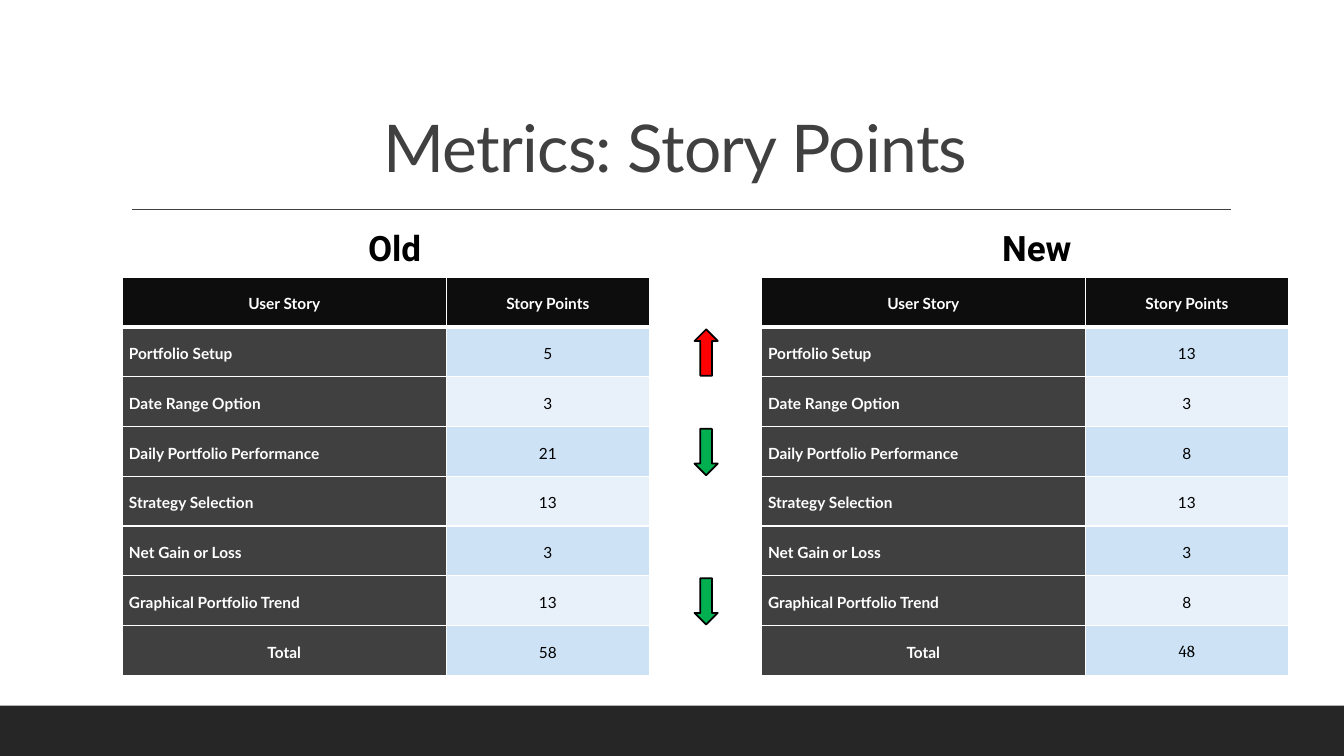
from dataclasses import dataclass

from lxml.etree import SubElement
from pptx import Presentation
from pptx.dml.color import RGBColor
from pptx.enum.shapes import MSO_CONNECTOR, MSO_SHAPE
from pptx.enum.text import MSO_ANCHOR, PP_ALIGN
from pptx.oxml.ns import qn
from pptx.util import Pt


@dataclass(frozen=True)
class Theme:
    white: str = "FFFFFF"
    black: str = "000000"
    header: str = "0D0D0D"
    dark: str = "404040"
    footer: str = "262626"
    bands: tuple = ("CDE3F5", "E8F1FA")
    rise: str = "FF0000"
    fall: str = "00B050"
    body_font: str = "Lato"
    heading_font: str = "Roboto"
    total_font: str = "Cambria"
    title_size: float = 47
    heading_size: float = 25
    cell_size: float = 11
    total_size: float = 12


STORIES = [
    ("Portfolio Setup", 5, 13),
    ("Date Range Option", 3, 3),
    ("Daily Portfolio Performance", 21, 8),
    ("Strategy Selection", 13, 13),
    ("Net Gain or Loss", 3, 3),
    ("Graphical Portfolio Trend", 13, 8),
]
TABLE_TOP = 198
ROW_HEIGHT = 35.55
COLUMN_WIDTHS = (231.9, 144.7)
CELL_INSET = 5


def write_text(frame, text, *, font, size, color, bold=False,
               align=PP_ALIGN.CENTER, line_spacing=1.0, tracking=0):
    para = frame.paragraphs[0]
    para.alignment = align
    para.line_spacing = line_spacing
    span = para.add_run()
    span.text = text
    span.font.name = font
    span.font.size = Pt(size)
    span.font.bold = bold
    span.font.color.rgb = RGBColor.from_string(color)
    if tracking:
        span._r.get_or_add_rPr().set("spc", str(round(tracking * 100)))


class SlideBuilder:
    def __init__(self, page, theme):
        self.page = page
        self.theme = theme

    def shape(self, kind, left, top, width, height, fill, line=None):
        shape = self.page.shapes.add_shape(
            kind, Pt(left), Pt(top), Pt(width), Pt(height))
        shape.shadow.inherit = False
        shape.fill.solid()
        shape.fill.fore_color.rgb = RGBColor.from_string(fill)
        if line:
            shape.line.color.rgb = RGBColor.from_string(line)
            shape.line.width = Pt(1.25)
        else:
            shape.line.fill.background()
        return shape

    def rule(self, left, right, top):
        rule = self.page.shapes.add_connector(
            MSO_CONNECTOR.STRAIGHT, Pt(left), Pt(top), Pt(right), Pt(top))
        rule.line.color.rgb = RGBColor.from_string(self.theme.dark)
        rule.line.width = Pt(1)
        SubElement(rule._element.spPr, qn("a:effectLst"))

    def text(self, left, top, width, height, text,
             anchor=MSO_ANCHOR.TOP, **style):
        box = self.page.shapes.add_textbox(
            Pt(left), Pt(top), Pt(width), Pt(height))
        box.text_frame.word_wrap = True
        box.text_frame.vertical_anchor = anchor
        write_text(box.text_frame, text, **style)

    def cell_borders(self, cell, **widths):
        properties = cell._tc.get_or_add_tcPr()
        for side in ("L", "R", "T", "B"):
            line = SubElement(properties, qn(f"a:ln{side}"),
                              w=str(Pt(widths.get(side, 1))))
            fill = SubElement(line, qn("a:solidFill"))
            SubElement(fill, qn("a:srgbClr"), val=self.theme.white)

    def cell(self, cell, text, fill, borders, **style):
        self.cell_borders(cell, **borders)
        cell.fill.solid()
        cell.fill.fore_color.rgb = RGBColor.from_string(fill)
        cell.vertical_anchor = MSO_ANCHOR.MIDDLE
        cell.margin_left = cell.margin_right = Pt(CELL_INSET)
        cell.margin_top = cell.margin_bottom = Pt(CELL_INSET)
        defaults = dict(font=self.theme.body_font, size=self.theme.cell_size,
                        color=self.theme.white, bold=True, line_spacing=1.2)
        write_text(cell.text_frame, text, **(defaults | style))

    def story_table(self, left, points, total_style):
        theme = self.theme
        names = [story[0] for story in STORIES] + ["Total"]
        values = points + [sum(points)]
        count = len(names) + 1
        table = self.page.shapes.add_table(
            count, 2, Pt(left), Pt(TABLE_TOP),
            Pt(sum(COLUMN_WIDTHS)), Pt(count * ROW_HEIGHT)).table
        for column, width in zip(table.columns, COLUMN_WIDTHS):
            column.width = Pt(width)
        for row in table.rows:
            row.height = Pt(ROW_HEIGHT)
        for index, title in enumerate(("User Story", "Story Points")):
            self.cell(table.cell(0, index), title, theme.header, {"B": 3})
        for row, (name, value) in enumerate(zip(names, values), 1):
            is_total = name == "Total"
            borders = {"T": 3} if row == 1 else {}
            self.cell(table.cell(row, 0), name, theme.dark, borders,
                      align=PP_ALIGN.CENTER if is_total else PP_ALIGN.LEFT)
            style = dict(color=theme.black, bold=False)
            if is_total:
                style |= total_style
            self.cell(table.cell(row, 1), str(value),
                      theme.bands[(row - 1) % 2], borders, **style)

    def change_arrow(self, row, old, new):
        theme = self.theme
        arrow = self.shape(
            MSO_SHAPE.DOWN_ARROW, 496.1, TABLE_TOP + row * ROW_HEIGHT + 1.7,
            16.6, 33.1, theme.rise if new > old else theme.fall, theme.black)
        if new > old:
            arrow.rotation = 180


def main():
    deck = Presentation()
    deck.slide_width = Pt(960)
    deck.slide_height = Pt(540)
    page = deck.slides.add_slide(deck.slide_layouts[6])
    theme = Theme()
    builder = SlideBuilder(page, theme)

    builder.shape(MSO_SHAPE.RECTANGLE, 0, 504, 960, 36, theme.footer)
    builder.rule(94.3, 879, 149.6)
    builder.text(86.4, 22.3, 792, 114.5, "Metrics: Story Points",
                 anchor=MSO_ANCHOR.BOTTOM, font=theme.body_font,
                 size=theme.title_size, color=theme.dark,
                 line_spacing=0.9, tracking=-0.5)

    total_style = dict(font=theme.total_font, size=theme.total_size)
    builder.story_table(87.1, [old for _, old, _ in STORIES], {})
    builder.story_table(543.6, [new for _, _, new in STORIES], total_style)

    for heading, left, width in (("Old", 100.1, 363.6), ("New", 574.6, 331.9)):
        builder.text(left, 158.4, width, 37.4, heading, bold=True,
                     font=theme.heading_font, size=theme.heading_size,
                     color=theme.black)

    for row, (_, old, new) in enumerate(STORIES, 1):
        if old != new:
            builder.change_arrow(row, old, new)

    deck.save("out.pptx")


if __name__ == "__main__":
    main()
